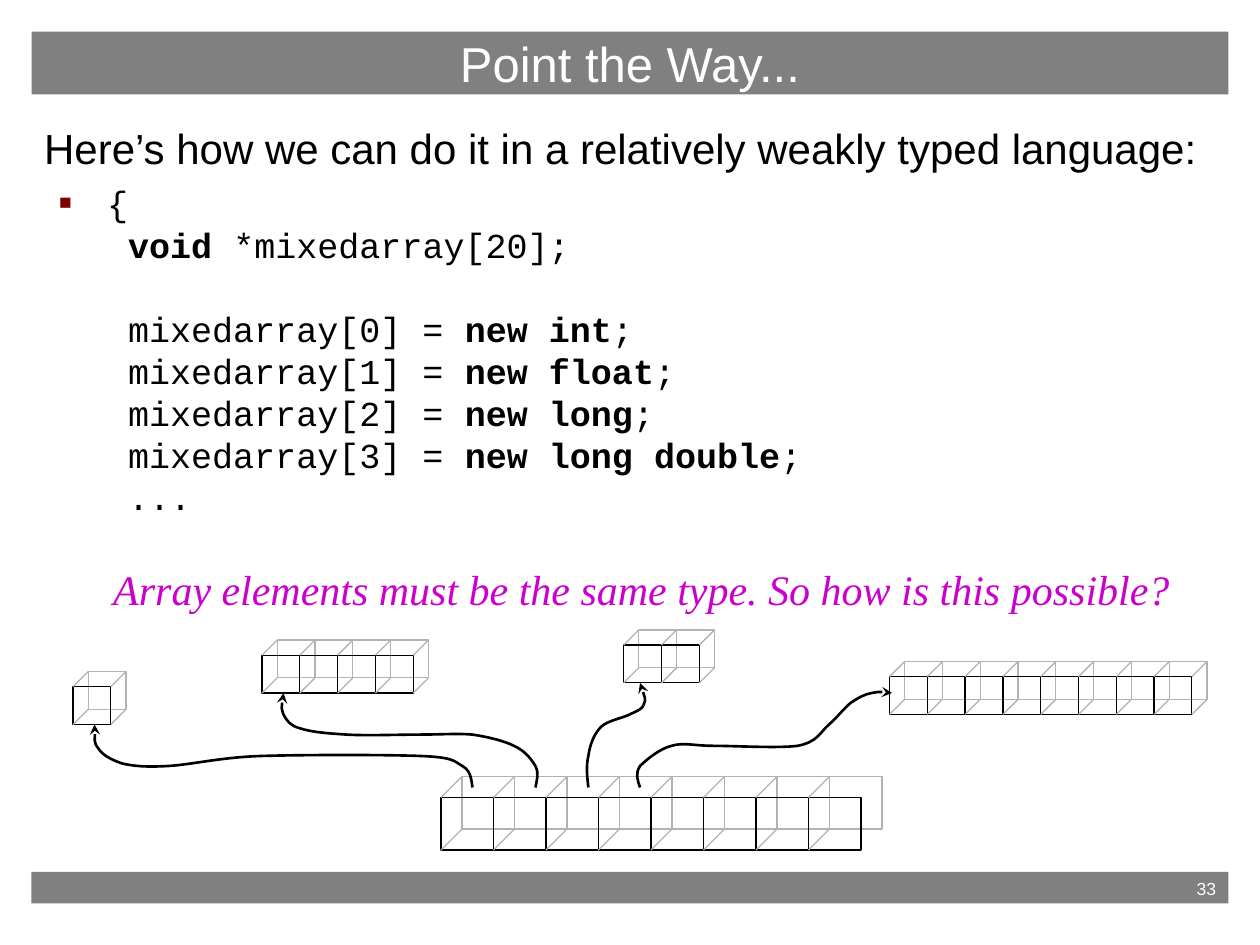
from copy import deepcopy
from pptx import Presentation
from pptx.dml.color import RGBColor
from pptx.enum.shapes import MSO_CONNECTOR as CONNECTOR, MSO_SHAPE as SHAPE
from pptx.enum.text import MSO_ANCHOR as ANCHOR, MSO_AUTO_SIZE as AUTOSIZE, PP_ALIGN as ALIGN
from pptx.oxml.ns import qn
from pptx.oxml.xmlchemy import OxmlElement
from pptx.util import Inches, Pt

BAND, BACK, BLACK, WHITE = "808080", "B2B2B2", "000000", "FFFFFF"

CODE = [
    ("{\n ", False), ("void", True), (" *mixedarray[20];\n\n mixedarray[0] = ", False),
    ("new int", True), (";\n mixedarray[1] = ", False),
    ("new float", True), (";\n mixedarray[2] = ", False),
    ("new long", True), (";\n mixedarray[3] = ", False),
    ("new long double", True), (";\n ...", False),
]

BOXES = [
    (3.5, 6.33, 8, 5 / 12, 1 / 6, False),
    (0.58, 5.45, 1, 0.3, 0.12, True),
    (4.95, 5.12, 2, 0.3, 0.12, True),
    (2.08, 5.2, 4, 0.3, 0.12, True),
    (7.06, 5.37, 8, 0.3, 0.12, True),
]

POINTERS = [
    [(3.75, 6.25),
     (3.74, 6.19), (3.74, 6.12), (3.67, 6.08), (3.6, 6.04), (3.6, 6.01), (3.33, 6),
     (3.07, 5.99), (2.42, 5.99), (2.08, 6), (1.75, 6.01), (1.52, 6.07), (1.33, 6.08),
     (1.15, 6.09), (1.06, 6.08), (0.97, 6.06), (0.88, 6.03), (0.81, 5.99), (0.78, 5.94),
     (0.74, 5.89), (0.76, 5.79), (0.75, 5.75)],
    [(4.25, 6.25),
     (4.26, 6.19), (4.28, 6.14), (4.25, 6.08), (4.22, 6.03), (4.17, 5.96), (4.08, 5.92),
     (4, 5.88), (3.88, 5.85), (3.75, 5.83), (3.63, 5.82), (3.5, 5.83), (3.33, 5.83),
     (3.17, 5.83), (2.91, 5.84), (2.75, 5.83), (2.59, 5.82), (2.47, 5.81), (2.38, 5.78),
     (2.3, 5.76), (2.27, 5.71), (2.25, 5.67), (2.23, 5.62), (2.24, 5.56), (2.25, 5.5)],
    [(4.67, 6.25),
     (4.66, 6.17), (4.65, 6.08), (4.67, 6), (4.68, 5.92), (4.71, 5.83), (4.77, 5.77),
     (4.82, 5.72), (4.94, 5.7), (5, 5.67), (5.06, 5.64), (5.1, 5.63), (5.11, 5.59),
     (5.13, 5.55), (5.09, 5.45), (5.08, 5.42)],
    [(5.08, 6.25),
     (5.06, 6.19), (5.04, 6.14), (5.08, 6.08), (5.13, 6.03), (5.24, 5.94), (5.33, 5.92),
     (5.43, 5.89), (5.5, 5.92), (5.67, 5.92), (5.83, 5.92), (6.18, 5.94), (6.33, 5.92),
     (6.49, 5.89), (6.51, 5.81), (6.58, 5.75), (6.65, 5.69), (6.69, 5.63), (6.75, 5.58),
     (6.81, 5.54), (6.86, 5.51), (6.92, 5.5), (6.97, 5.49), (7.03, 5.49), (7.08, 5.5)],
]


def color(value):
    return RGBColor.from_string(value)


def paint(part, value):
    part.fill.solid()
    part.fill.fore_color.rgb = color(value)


def outline(part, value, width):
    part.line.color.rgb = color(value)
    part.line.width = Pt(width)


def place(part, left, top, width, height):
    part.left, part.top = Inches(left), Inches(top)
    part.width, part.height = Inches(width), Inches(height)


def add_run(paragraph, text, size, font, value, bold=False, italic=False):
    run = paragraph.add_run()
    run.text = text
    run.font.size, run.font.name = Pt(size), font
    run.font.bold, run.font.italic = bold, italic
    run.font.color.rgb = color(value)
    return run


def add_child(parent, tag, **attributes):
    child = OxmlElement(tag)
    for key, value in attributes.items():
        child.set(key, value)
    parent.append(child)
    return child


def add_title(slide):
    title = slide.shapes.title
    place(title, 0.25, 0.25, 9.5, 0.5)
    paint(title, BAND)
    title.text_frame.auto_size = AUTOSIZE.NONE
    title.text_frame.vertical_anchor = ANCHOR.MIDDLE
    heading = title.text_frame.paragraphs[0]
    heading.alignment = ALIGN.CENTER
    add_run(heading, "Point the Way...", 28, "Arial", WHITE)


def add_code(paragraph):
    for text, bold in CODE:
        for index, line in enumerate(text.split("\n")):
            if index:
                paragraph.add_line_break()
            if line:
                add_run(paragraph, line, 20, "Courier New", BLACK, bold)
    code_style = paragraph.runs[0].font._element
    for line_break in paragraph._p.findall(qn("a:br")):
        line_break.append(deepcopy(code_style))


def add_body(slide):
    body = slide.placeholders[1]
    place(body, 0.25, 0.92, 9.5, 5.83)
    frame = body.text_frame
    frame.auto_size = AUTOSIZE.NONE
    intro = frame.paragraphs[0]
    intro.space_before = Pt(6)
    add_run(intro, "Here’s how we can do it in a relatively weakly typed language:", 24, "Arial", BLACK)
    intro_style = intro._p.get_or_add_pPr()
    intro_style.set("marL", "0")
    intro_style.set("indent", "0")
    add_child(intro_style, "a:buNone")

    code = frame.add_paragraph()
    code.level = 1
    code.space_before = Pt(5)
    add_code(code)
    code_style = code._p.get_or_add_pPr()
    code_style.set("marL", str(Inches(0.5)))
    code_style.set("indent", str(Inches(-0.38)))
    add_child(add_child(code_style, "a:buClr"), "a:srgbClr", val="800000")
    add_child(code_style, "a:buSzPct", val="60000")
    add_child(code_style, "a:buFont", typeface="Arial")
    add_child(code_style, "a:buChar", char="■")


def add_question(slide):
    question = slide.shapes.add_textbox(Inches(0.8), Inches(4.42), Inches(8.59), Inches(0.5))
    frame = question.text_frame
    frame.word_wrap = False
    frame.auto_size = AUTOSIZE.SHAPE_TO_FIT_TEXT
    frame.vertical_anchor = ANCHOR.MIDDLE
    frame.paragraphs[0].space_before = Pt(15)
    add_run(frame.paragraphs[0], "Array elements must be the same type. So how is this possible?",
            24, "Times New Roman", "CC00CC", italic=True)


def add_rectangle(shapes, left, top, width, height):
    rectangle = shapes.add_shape(SHAPE.RECTANGLE, Inches(left), Inches(top), Inches(width), Inches(height))
    rectangle.shadow.inherit = False
    return rectangle


def add_footer(slide):
    footer = add_rectangle(slide.shapes, 0.25, 6.92, 9.5, 0.25)
    paint(footer, BAND)
    footer.line.fill.background()
    footer.text_frame.vertical_anchor = ANCHOR.TOP
    number = footer.text_frame.paragraphs[0]
    number.alignment = ALIGN.RIGHT
    add_run(number, "33", 10, "Arial", WHITE)


def add_face(shapes, left, top, size, value):
    face = add_rectangle(shapes, left, top, size, size)
    face.fill.background()
    outline(face, value, 0.75)


def add_edge(shapes, left, top, depth):
    edge = shapes.add_connector(CONNECTOR.STRAIGHT, Inches(left + depth), Inches(top - depth),
                                Inches(left), Inches(top))
    outline(edge, BACK, 0.75)
    add_child(edge._element.spPr, "a:effectLst")


def add_boxes(slide, left, top, count, size, depth, closed):
    shapes = slide.shapes.add_group_shape().shapes
    for shift, value in ((depth, BACK), (0, BLACK)):
        for index in range(count):
            add_face(shapes, left + index * size + shift, top - shift, size, value)
    for index in range(count + closed):
        for corner in (top, top + size):
            add_edge(shapes, left + index * size, corner, depth)


def add_pointer(slide, points):
    start, *rest = [(Inches(x), Inches(y)) for x, y in points]
    builder = slide.shapes.build_freeform(*start)
    builder.add_line_segments(rest, close=False)
    pointer = builder.convert_to_shape()
    pointer.shadow.inherit = False
    pointer.fill.background()
    outline(pointer, BLACK, 1.5)
    add_child(pointer.line._get_or_add_ln(), "a:tailEnd", type="stealth")
    route = next(pointer._element.iter(qn("a:path")))
    segments = route.findall(qn("a:lnTo"))
    for index in range(0, len(segments), 3):
        curve = add_child(route, "a:cubicBezTo")
        for segment in segments[index:index + 3]:
            curve.append(segment[0])
            route.remove(segment)


def main():
    deck = Presentation()
    deck.slide_width, deck.slide_height = Inches(10), Inches(7.5)
    slide = deck.slides.add_slide(deck.slide_layouts[1])
    add_footer(slide)
    add_title(slide)
    add_body(slide)
    add_question(slide)
    for boxes in BOXES:
        add_boxes(slide, *boxes)
    for points in POINTERS:
        add_pointer(slide, points)
    deck.save("out.pptx")


if __name__ == "__main__":
    main()
